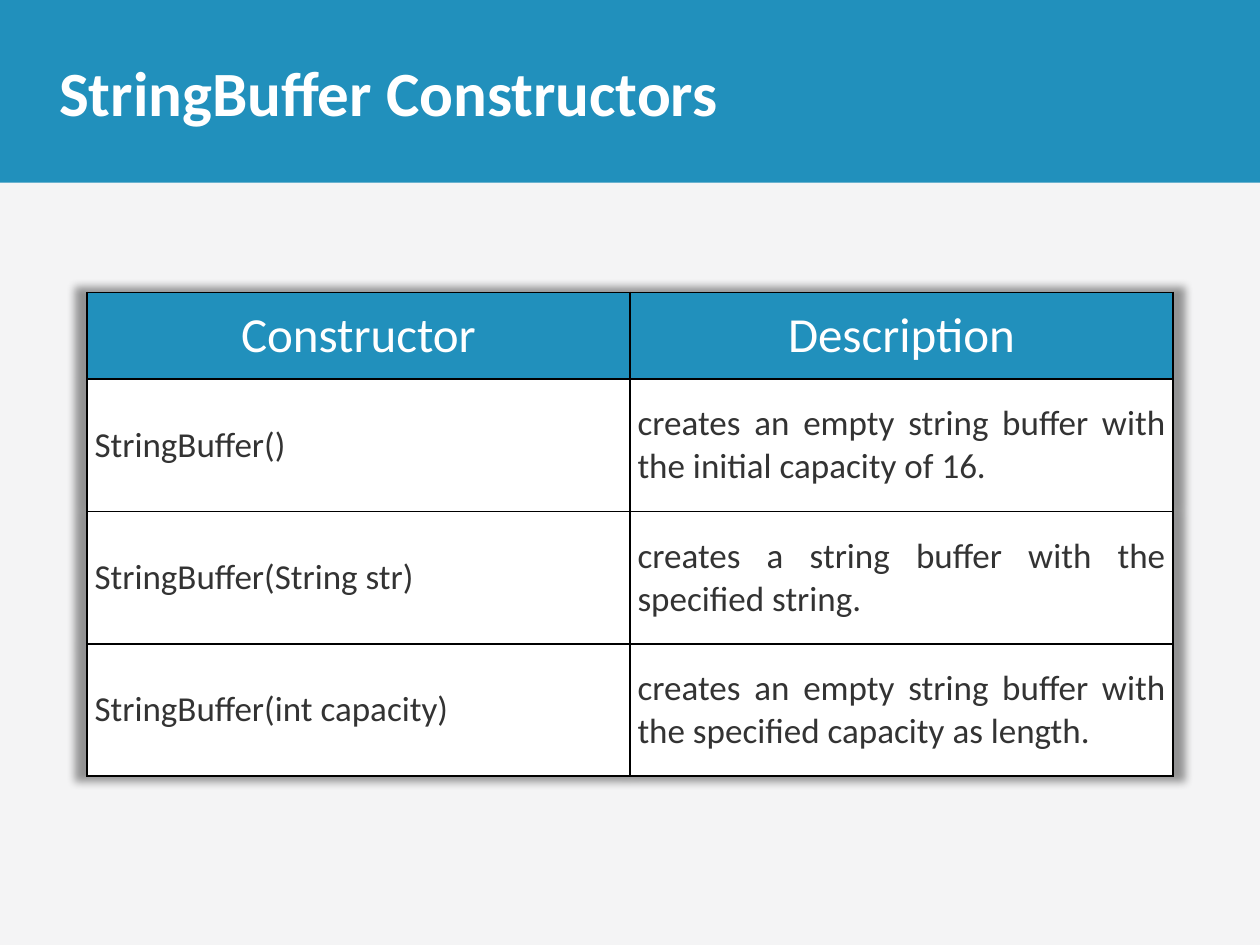
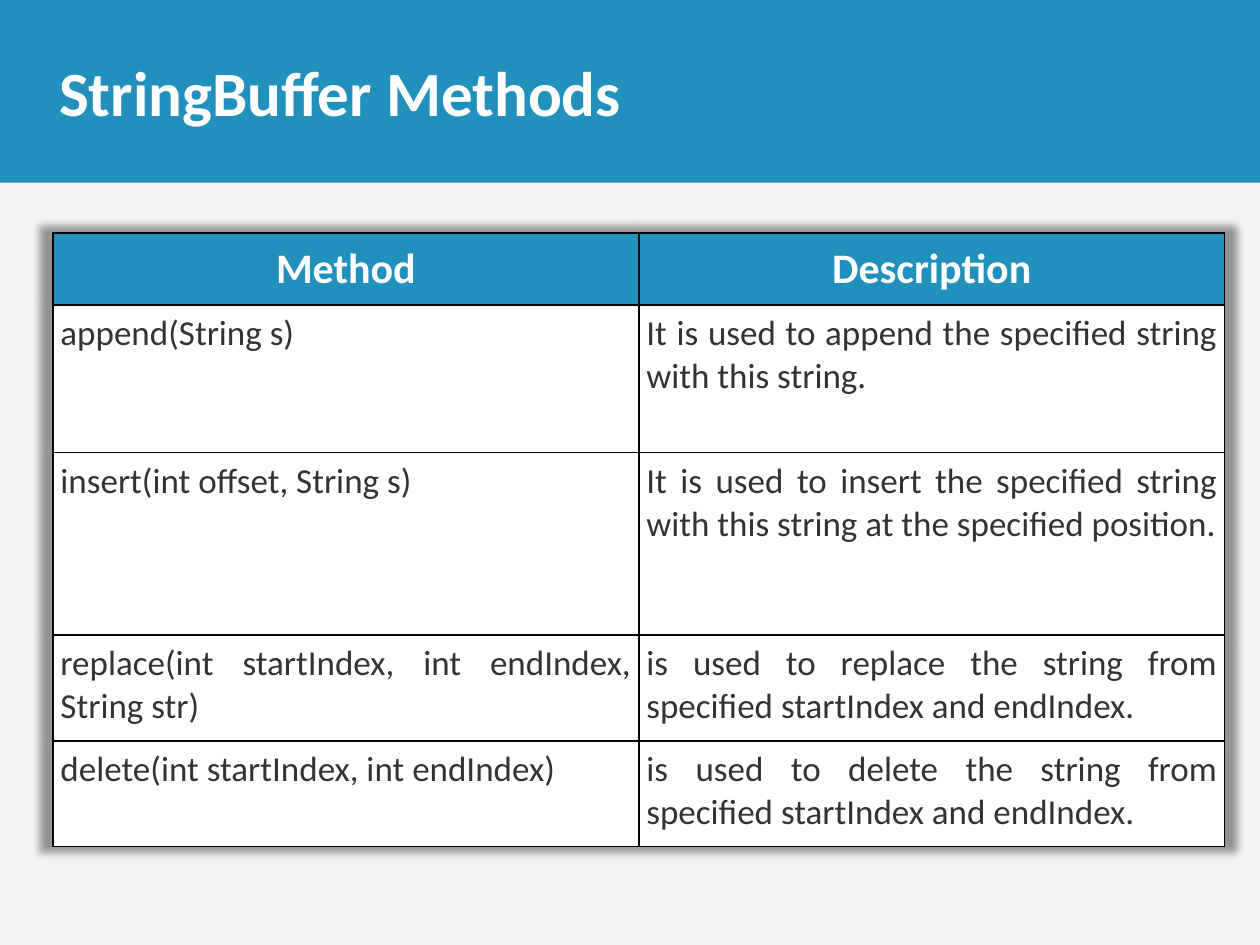
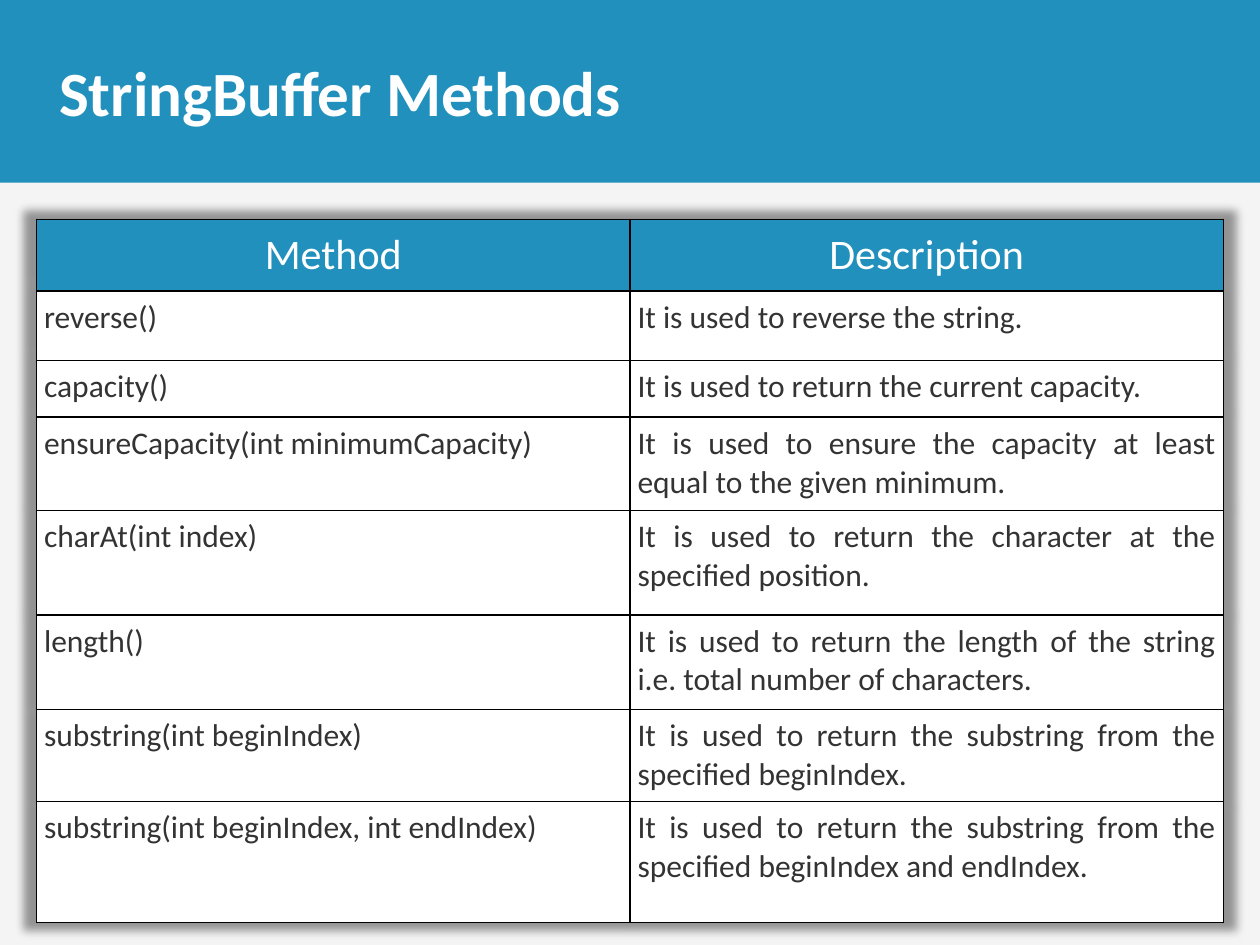
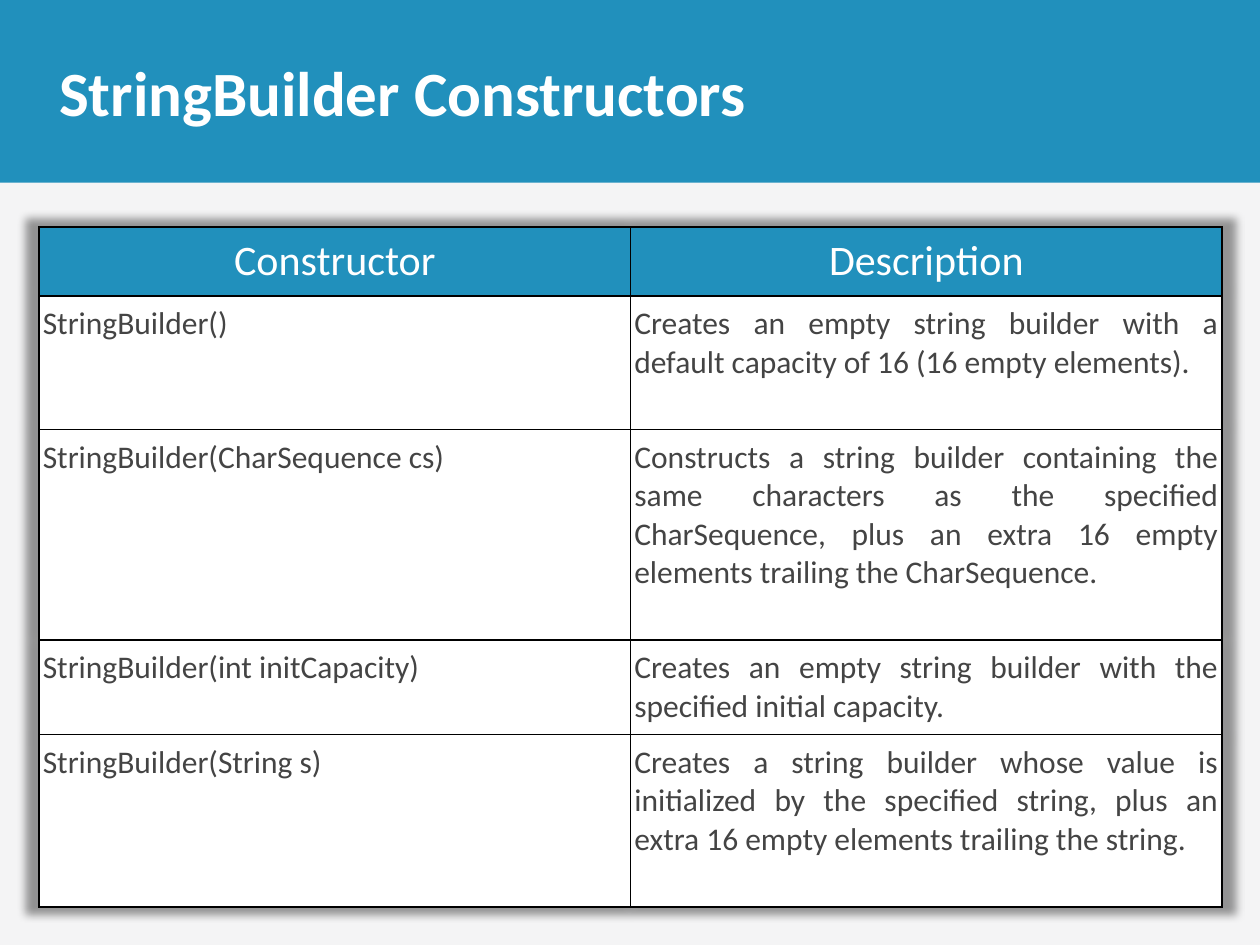
import pptx
import pptx.util
import pptx.dml.color
import pptx.enum.shapes
import pptx.enum.text
import pptx.oxml
import pptx.oxml.ns
from dataclasses import dataclass

Inches = pptx.util.Inches
Pt = pptx.util.Pt
ALIGN = pptx.enum.text.PP_ALIGN
ANCHOR = pptx.enum.text.MSO_ANCHOR


@dataclass(frozen=True)
class Theme:
    font: str = "Calibri"
    accent: str = "2190BC"
    background: str = "F4F4F5"
    white: str = "FFFFFF"
    border: str = "000000"
    border_width: int = 1
    title_size: int = 36
    slide_width: float = 10
    slide_height: float = 7.5
    band_height: float = 1.45
    title_left: float = 0.37
    title_width: float = 8.62


THEME = Theme()

REFERENCE_PAGES = [
    {
        "title": "StringBuffer Constructors",
        "place": (0.69, 2.32, 8.62),
        "row_heights": [0.69, 1.05, 1.05, 1.05],
        "anchor": ANCHOR.MIDDLE,
        "header_size": 28,
        "entry_size": 20,
        "rows": [
            ("Constructor", "Description"),
            ("StringBuffer()", "creates an empty string buffer with the initial capacity of 16."),
            ("StringBuffer(String str)", "creates a string buffer with the specified string."),
            ("StringBuffer(int capacity)",
             "creates an empty string buffer with the specified capacity as length."),
        ],
    },
    {
        "title": "StringBuffer Methods",
        "place": (0.42, 1.85, 9.3),
        "row_heights": [0.57, 1.17, 1.45, 0.84, 0.84],
        "header_bold": True,
        "header_size": 24,
        "entry_size": 20,
        "rows": [
            ("Method", "Description"),
            ("append(String s)", "It is used to append the specified string with this string."),
            ("insert(int offset, String s)",
             "It is used to insert the specified string with this string at the specified position."),
            ("replace(int startIndex, int endIndex, String str)",
             "is used to replace the string from specified startIndex and endIndex."),
            ("delete(int startIndex, int endIndex)",
             "is used to delete the string from specified startIndex and endIndex."),
        ],
    },
    {
        "title": "StringBuffer Methods",
        "place": (0.29, 1.74, 9.42),
        "row_heights": [0.57, 0.55, 0.45, 0.74, 0.83, 0.75, 0.72, 0.96],
        "header_size": 24,
        "entry_size": 18,
        "rows": [
            ("Method", "Description"),
            ("reverse()", "It is used to reverse the string."),
            ("capacity()", "It is used to return the current capacity."),
            ("ensureCapacity(int minimumCapacity)",
             "It is used to ensure the capacity at least equal to the given minimum."),
            ("charAt(int index)", "It is used to return the character at the specified position."),
            ("length()",
             "It is used to return the length of the string i.e. total number of characters."),
            ("substring(int beginIndex)",
             "It is used to return the substring from the specified beginIndex."),
            ("substring(int beginIndex, int endIndex)",
             "It is used to return the substring from the specified beginIndex and endIndex."),
        ],
    },
    {
        "title": "StringBuilder Constructors",
        "place": (0.31, 1.8, 9.39),
        "row_heights": [0.55, 1.06, 1.67, 0.75, 1.37],
        "header_size": 24,
        "entry_size": 18,
        "entry_color": "444444",
        "header_insets": (0.03, 0.07),
        "entry_insets": (0.03, 0.07),
        "rows": [
            ("Constructor", "Description"),
            ("StringBuilder()",
             "Creates an empty string builder with a default capacity of 16 (16 empty elements)."),
            ("StringBuilder(CharSequence cs)",
             "Constructs a string builder containing the same characters as the specified "
             "CharSequence, plus an extra 16 empty elements trailing the CharSequence."),
            ("StringBuilder(int initCapacity)",
             "Creates an empty string builder with the specified initial capacity."),
            ("StringBuilder(String s)",
             "Creates a string builder whose value is initialized by the specified string, "
             "plus an extra 16 empty elements trailing the string."),
        ],
    },
]

PAGE_DEFAULTS = {
    "anchor": ANCHOR.TOP,
    "header_bold": False,
    "entry_color": "333333",
    "header_insets": (0.08, 0.08),
    "entry_insets": (0.06, 0.06),
}


def rgb(color):
    return pptx.dml.color.RGBColor.from_string(color)


def paint(fill, color):
    fill.solid()
    fill.fore_color.rgb = rgb(color)


def format_text(frame, size, color, bold, alignment):
    for paragraph in frame.paragraphs:
        paragraph.alignment = alignment
        for run in paragraph.runs:
            run.font.name = THEME.font
            run.font.size = Pt(size)
            run.font.bold = bold
            run.font.color.rgb = rgb(color)


def xml(markup):
    return pptx.oxml.parse_xml(markup.replace(" ", " " + pptx.oxml.ns.nsdecls("a") + " ", 1))


def add_borders(cell):
    properties = cell._tc.get_or_add_tcPr()
    for side in "LRTB":
        properties.append(xml(
            f'<a:ln{side} w="{Pt(THEME.border_width)}"><a:solidFill>'
            f'<a:srgbClr val="{THEME.border}"/></a:solidFill></a:ln{side}>'))


def add_glow_shadow(table):
    table._tbl.tblPr.insert(0, xml(
        f'<a:effectLst ><a:outerShdw blurRad="{Pt(5)}" sx="102000" sy="102000" algn="ctr" '
        'rotWithShape="0"><a:prstClr val="black"><a:alpha val="40000"/></a:prstClr>'
        '</a:outerShdw></a:effectLst>'))


def style_master(presentation, first_slide):
    master = presentation.slide_master
    paint(master.background.fill, THEME.background)
    band = first_slide.shapes.add_shape(
        pptx.enum.shapes.MSO_SHAPE.RECTANGLE, 0, 0,
        Inches(THEME.slide_width), Inches(THEME.band_height))
    band.shadow.inherit = False
    paint(band.fill, THEME.accent)
    band.line.fill.background()
    master.shapes.element.insert(2, band.element)


def set_title(slide, text):
    title = slide.shapes.title
    title.left, title.top = Inches(THEME.title_left), 0
    title.width, title.height = Inches(THEME.title_width), Inches(THEME.band_height)
    frame = title.text_frame
    frame.text = text
    frame.auto_size = pptx.enum.text.MSO_AUTO_SIZE.NONE
    frame.vertical_anchor = ANCHOR.MIDDLE
    format_text(frame, THEME.title_size, THEME.white, True, ALIGN.LEFT)


def fill_cell(cell, text, page, is_header):
    horizontal, vertical = page["header_insets" if is_header else "entry_insets"]
    cell.margin_left = cell.margin_right = Inches(horizontal)
    cell.margin_top = cell.margin_bottom = Inches(vertical)
    cell.vertical_anchor = page["anchor"]
    add_borders(cell)
    paint(cell.fill, THEME.accent if is_header else THEME.white)
    cell.text_frame.text = text
    if is_header:
        format_text(cell.text_frame, page["header_size"], THEME.white,
                    page["header_bold"], ALIGN.CENTER)
    else:
        format_text(cell.text_frame, page["entry_size"], page["entry_color"],
                    False, ALIGN.JUSTIFY)


def add_reference_table(slide, page):
    rows, heights = page["rows"], page["row_heights"]
    left, top, width = page["place"]
    table = slide.shapes.add_table(
        len(rows), len(rows[0]), Inches(left), Inches(top),
        Inches(width), Inches(sum(heights))).table
    table.horz_banding = False
    add_glow_shadow(table)
    for row_index, (texts, height) in enumerate(zip(rows, heights)):
        table.rows[row_index].height = Inches(height)
        for column_index, text in enumerate(texts):
            fill_cell(table.cell(row_index, column_index), text, page, row_index == 0)


def main():
    presentation = pptx.Presentation()
    presentation.slide_width = Inches(THEME.slide_width)
    presentation.slide_height = Inches(THEME.slide_height)
    title_only = presentation.slide_layouts.get_by_name("Title Only")
    for content in REFERENCE_PAGES:
        page = {**PAGE_DEFAULTS, **content}
        slide = presentation.slides.add_slide(title_only)
        set_title(slide, page["title"])
        add_reference_table(slide, page)
    style_master(presentation, presentation.slides[0])
    presentation.save("out.pptx")


if __name__ == "__main__":
    main()
